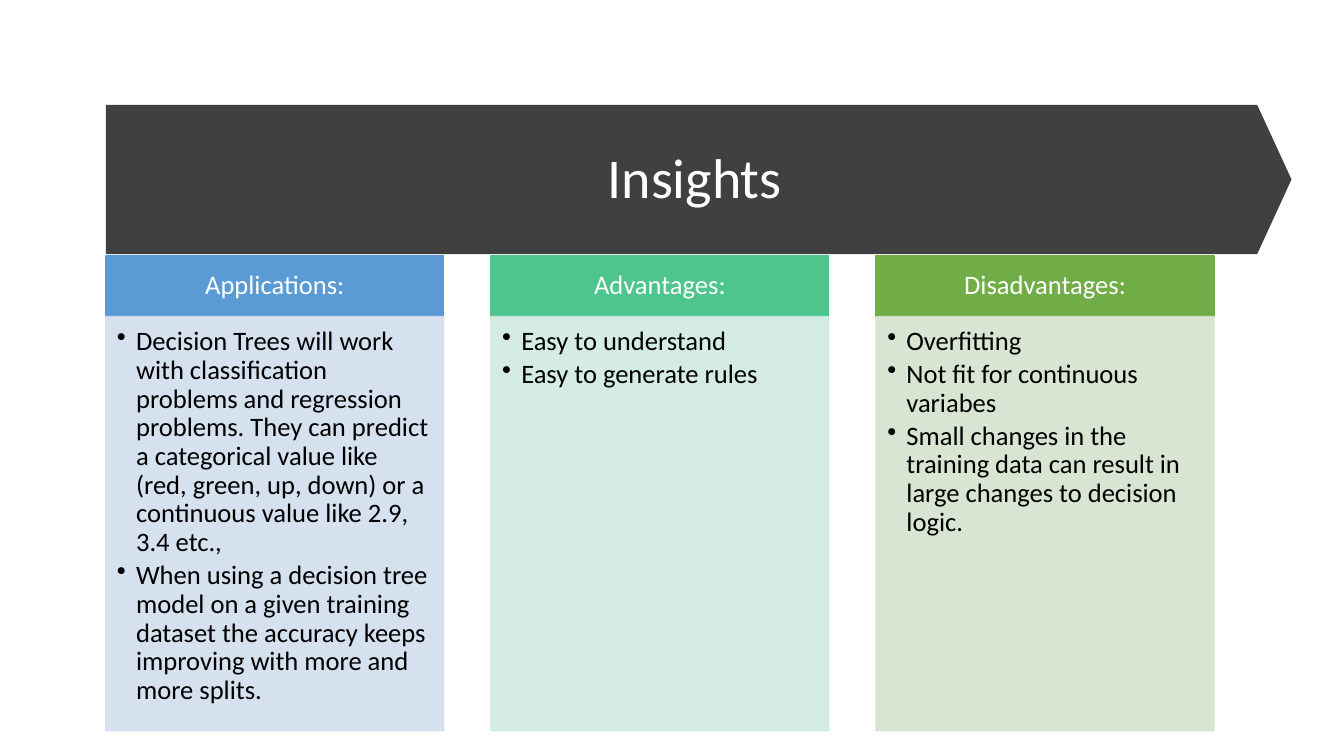
"""Build the Insights slide: an arrow banner above three bulleted columns."""
from dataclasses import dataclass

from lxml.etree import SubElement
from pptx import Presentation
from pptx.dml.color import RGBColor
from pptx.enum.shapes import MSO_SHAPE as Preset
from pptx.enum.text import MSO_ANCHOR as Anchor, PP_ALIGN as Align
from pptx.oxml.ns import qn
from pptx.shapes.autoshape import Shape
from pptx.slide import Slide
from pptx.text.text import _Paragraph as Paragraph
from pptx.util import Pt

EMU_PER_PX = 9144
FONT = "Calibri"
BODY_SIZE = 19
BODY_OPACITY = 90
COLUMN_LEFT, COLUMN_PITCH, COLUMN_WIDTH = 105, 382, 335
HEADER_TOP, HEADER_HEIGHT, BODY_HEIGHT = 254, 60, 411
BULLET_INDENT = 19
COLORS = {
    "banner": "404040",
    "white": "FFFFFF",
    "black": "000000",
    "blue": "5B9BD5",
    "pale blue": "D2DEEF",
    "teal": "4DC58D",
    "pale teal": "D0EAE1",
    "green": "70AD47",
    "pale green": "D5E3CF",
}


@dataclass(frozen=True)
class Box:
    left: int
    top: int
    width: int
    height: int

    def emu(self) -> tuple[int, ...]:
        return tuple(px(side) for side in (self.left, self.top, self.width, self.height))


@dataclass(frozen=True)
class Column:
    heading: str
    color: str
    points: tuple[str, ...]


COLUMNS = (
    Column("Applications:", "blue", (
        "Decision Trees will work with classification problems and regression problems. "
        "They can predict a categorical value like (red, green, up, down) or a "
        "continuous value like 2.9, 3.4 etc.,",
        "When using a decision tree model on a given training dataset the accuracy "
        "keeps improving with more and more splits.",
    )),
    Column("Advantages:", "teal", ("Easy to understand", "Easy to generate rules")),
    Column("Disadvantages:", "green", (
        "Overfitting",
        "Not fit for continuous variabes",
        "Small changes in the training data can result in large changes to decision logic.",
    )),
)


def px(length: int) -> int:
    return length * EMU_PER_PX


def rgb(name: str) -> RGBColor:
    return RGBColor.from_string(COLORS[name])


def add_panel(page: Slide, preset: Preset, box: Box, color: str) -> Shape:
    panel = page.shapes.add_shape(preset, *box.emu())
    panel.shadow.inherit = False
    panel.fill.solid()
    panel.fill.fore_color.rgb = rgb(color)
    panel.line.fill.background()
    return panel


def outline(panel: Shape, color: str) -> None:
    panel.line.color.rgb = rgb(color)
    panel.line.width = Pt(1)


def set_opacity(panel: Shape, percent: int) -> None:
    for color in panel._element.spPr.iter(qn("a:srgbClr")):
        SubElement(color, qn("a:alpha"), val=str(percent * 1000))


def write(shape: Shape, lines: tuple[str, ...], size: int, color: str, align: Align,
          anchor: Anchor, insets: tuple[int, int, int, int]) -> None:
    frame = shape.text_frame
    frame.word_wrap = True
    frame.vertical_anchor = anchor
    (frame.margin_left, frame.margin_top,
     frame.margin_right, frame.margin_bottom) = (px(inset) for inset in insets)
    frame.text = "\n".join(lines)
    for para in frame.paragraphs:
        para.alignment = align
        para.line_spacing = 0.9
        for span in para.runs:
            span.font.name = FONT
            span.font.size = Pt(size)
            span.font.color.rgb = rgb(color)


def add_bullet(para: Paragraph) -> None:
    para.space_after = Pt(3)
    properties = para._p.get_or_add_pPr()
    properties.set("marL", str(px(BULLET_INDENT)))
    properties.set("indent", str(-px(BULLET_INDENT)))
    SubElement(properties, qn("a:buChar"), char="•")


def add_banner(page: Slide) -> None:
    arrow = add_panel(page, Preset.PENTAGON, Box(105, 104, 1176, 148), "banner")
    arrow.adjustments[0] = 0.23
    title = page.shapes.add_textbox(*Box(141, 132, 1096, 94).emu())
    write(title, ("Insights",), 40, "white", Align.CENTER, Anchor.MIDDLE, (10, 5, 10, 5))


def add_column(page: Slide, column: Column, left: int) -> None:
    header_box = Box(left, HEADER_TOP, COLUMN_WIDTH, HEADER_HEIGHT)
    header = add_panel(page, Preset.RECTANGLE, header_box, column.color)
    outline(header, column.color)
    write(header, (column.heading,), BODY_SIZE, "white", Align.CENTER, Anchor.MIDDLE,
          (15, 8, 15, 8))

    pale = f"pale {column.color}"
    body_box = Box(left, HEADER_TOP + HEADER_HEIGHT, COLUMN_WIDTH, BODY_HEIGHT)
    body = add_panel(page, Preset.RECTANGLE, body_box, pale)
    outline(body, pale)
    set_opacity(body, BODY_OPACITY)
    write(body, column.points, BODY_SIZE, "black", Align.LEFT, Anchor.TOP, (11, 11, 15, 17))
    for para in body.text_frame.paragraphs:
        add_bullet(para)


def main() -> None:
    deck = Presentation()
    deck.slide_width, deck.slide_height = px(1333), px(750)
    page = deck.slides.add_slide(deck.slide_layouts[6])
    add_banner(page)
    for index, column in enumerate(COLUMNS):
        add_column(page, column, COLUMN_LEFT + index * COLUMN_PITCH)
    deck.save("out.pptx")


if __name__ == "__main__":
    main()
